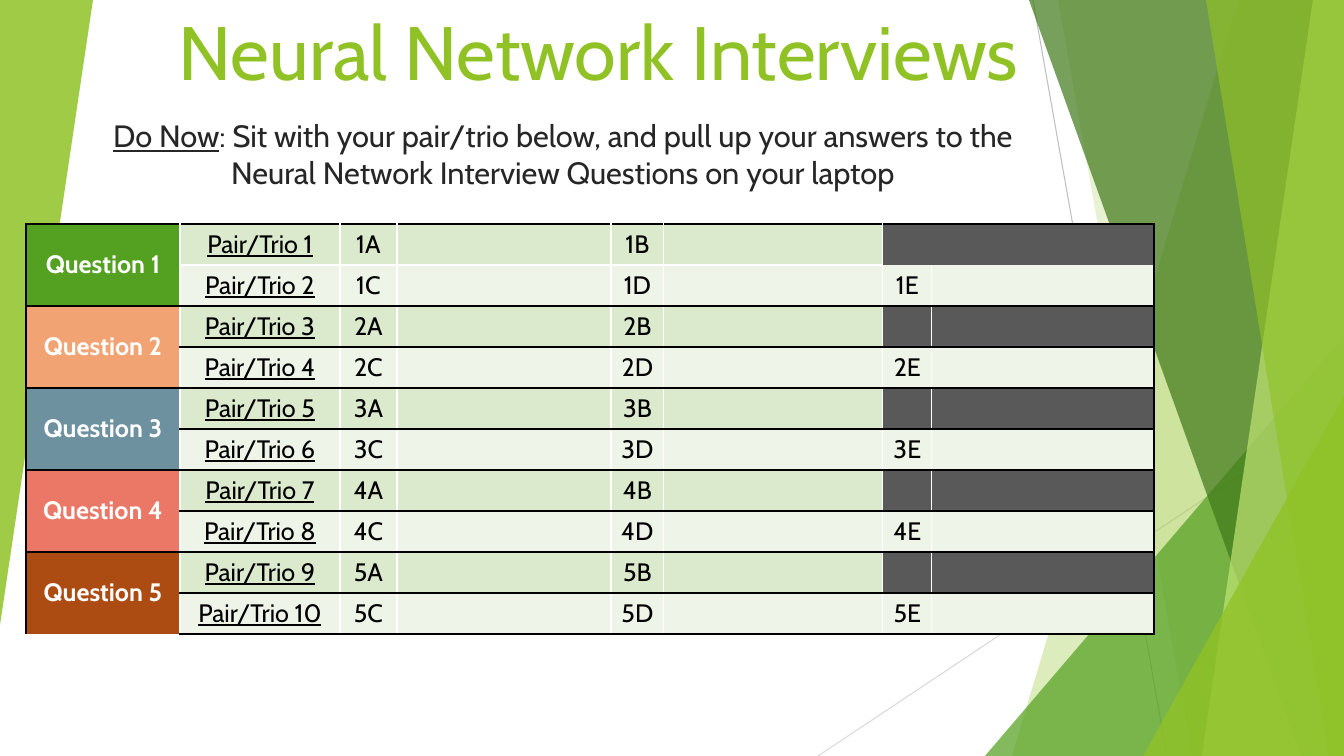
from dataclasses import dataclass

from lxml import etree
from pptx import Presentation
from pptx.dml.color import RGBColor
from pptx.enum.shapes import MSO_CONNECTOR, MSO_SHAPE
from pptx.enum.text import MSO_ANCHOR, PP_ALIGN
from pptx.oxml.ns import qn
from pptx.util import Pt

STRAIGHT, TRIANGLE = MSO_CONNECTOR.STRAIGHT, MSO_SHAPE.RIGHT_TRIANGLE
ISOSCELES = MSO_SHAPE.ISOSCELES_TRIANGLE
CENTER, RIGHT = PP_ALIGN.CENTER, PP_ALIGN.RIGHT
TOP, MIDDLE, BOTTOM = MSO_ANCHOR.TOP, MSO_ANCHOR.MIDDLE, MSO_ANCHOR.BOTTOM

WIDTH, HEIGHT = 1344, 756
SCALE = 12192000 / WIDTH
FONT = "Cabin"
NO_STYLE = "{2D5ABB26-0587-4C30-8999-92F81FD0307C}"

WHITE = RGBColor(0xFF, 0xFF, 0xFF)
BLACK = RGBColor(0x00, 0x00, 0x00)
INK = RGBColor(0x26, 0x26, 0x26)
LIME = RGBColor(0x90, 0xC2, 0x26)
PALE_LIME = RGBColor(0xC0, 0xE4, 0x74)
GREEN = RGBColor(0x54, 0xA0, 0x21)
FOREST = RGBColor(0x3F, 0x78, 0x19)
SILVER = RGBColor(0xBF, 0xBF, 0xBF)
LIGHT_GREY = RGBColor(0xD9, 0xD9, 0xD9)
DARK_GREY = RGBColor(0x59, 0x59, 0x59)
ROW_FILLS = (RGBColor(0xDB, 0xE9, 0xCD), RGBColor(0xEE, 0xF4, 0xE8))
QUESTION_FILLS = (GREEN, RGBColor(0xF1, 0xA3, 0x74), RGBColor(0x6E, 0x91, 0xA0),
                  RGBColor(0xEB, 0x77, 0x66), RGBColor(0xAD, 0x4C, 0x12))

COLUMNS = (154, 160, 57, 214, 53, 219, 49, 222)
ROW_HEIGHT, ROWS = 41, 10
LETTERS = ({2: "A", 4: "B"}, {2: "C", 4: "D", 6: "E"})
OUTER, INNER, DIVIDER = (BLACK, 1.5), (WHITE, 1), (BLACK, 2.25)


@dataclass(frozen=True)
class Ray:
    """A thin straight line."""
    x1: int
    y1: int
    x2: int
    y2: int
    color: RGBColor


@dataclass(frozen=True)
class Band:
    """A full-height panel from a slanted left edge to the right of the slide."""
    top_x: int
    bottom_x: int
    color: RGBColor
    opacity: int


@dataclass(frozen=True)
class Wedge:
    """A triangle with its apex over the right corner."""
    x: int
    y: int
    w: int
    h: int
    color: RGBColor
    opacity: int
    rotation: int = 0


BACKDROP = (
    Ray(1033, 0, 1167, 756, SILVER),
    Ray(1344, 406, 818, 756, LIGHT_GREY),
    Band(1238, 1012, LIME, 30),
    Band(1058, 1192, LIME, 20),
    Wedge(985, 336, 359, 420, GREEN, 72),
    Band(1029, 1301, FOREST, 70),
    Band(1313, 1202, PALE_LIME, 70),
    Band(1206, 1329, LIME, 65),
    Wedge(1143, 396, 201, 360, LIME, 80),
    Wedge(0, 0, 93, 625, LIME, 85, 180),
)


def px(*values):
    """Turn pixels into EMU."""
    return [round(v * SCALE) for v in values]


def paint(sp, color, opacity):
    """Give a shape a translucent fill, without line or shadow."""
    sp.shadow.inherit = False
    sp.line.fill.background()
    sp.fill.solid()
    sp.fill.fore_color.rgb = color
    clr = next(sp.element.spPr.iter(qn("a:srgbClr")))
    etree.SubElement(clr, qn("a:alpha"), val=str(opacity * 1000))


def draw_backdrop(shapes, item):
    """Draw one ray, band or wedge."""
    if isinstance(item, Ray):
        line = shapes.add_connector(STRAIGHT, *px(item.x1, item.y1, item.x2, item.y2))
        line.line.color.rgb, line.line.width = item.color, Pt(0.75)
        etree.SubElement(line.element.spPr, qn("a:effectLst"))
        return
    if isinstance(item, Band):
        outline = shapes.build_freeform(item.top_x, 0, scale=SCALE)
        outline.add_line_segments([(WIDTH, 0), (WIDTH, HEIGHT), (item.bottom_x, HEIGHT)])
        sp = outline.convert_to_shape()
    else:
        sp = shapes.add_shape(ISOSCELES, *px(item.x, item.y, item.w, item.h))
        sp.adjustments[0] = 1.0
        sp.rotation = item.rotation
    paint(sp, item.color, item.opacity)


def add_run(p, text, color, **formats):
    """Append a run in the slide font."""
    r = p.add_run()
    r.text = text
    r.font.color.rgb = color
    for name, value in {"name": FONT, **formats}.items():
        setattr(r.font, name, value)


def add_text(shapes, box, anchor, align):
    """Add a wrapping text box and return its paragraph."""
    tf = shapes.add_textbox(*px(*box)).text_frame
    tf.word_wrap, tf.vertical_anchor = True, anchor
    p = tf.paragraphs[0]
    p.alignment = align
    return p


def row_edge(row):
    """Return the border above a row (or below the last one)."""
    if row in (0, ROWS):
        return OUTER
    return INNER if row == 1 else DIVIDER


def cell_edges(row, col):
    """Return the left, right, top and bottom borders of a cell."""
    last = len(COLUMNS) - 1
    edges = {"L": INNER if col else OUTER, "R": OUTER if col == last else INNER,
             "T": row_edge(row), "B": row_edge(row + 1)}
    hidden = ""
    if col == 0:
        hidden = "T" if row % 2 else "B"
    elif col >= 6 and row < 2:
        hidden = "T" if row else ("LB" if col == last else "LRB")
    elif col == 5 and row == 0:
        hidden = "R"
    return {side: edge for side, edge in edges.items() if side not in hidden}


def style_cell(cell, fill, edges):
    """Apply borders, then the fill."""
    tc_pr = cell._tc.get_or_add_tcPr()
    for side, (color, width) in edges.items():
        ln = etree.SubElement(tc_pr, qn(f"a:ln{side}"), w=str(Pt(width)))
        solid = etree.SubElement(ln, qn("a:solidFill"))
        etree.SubElement(solid, qn("a:srgbClr"), val=str(color))
    cell.fill.solid()
    cell.fill.fore_color.rgb = fill


def fill_cell(table, row, col):
    """Write and style one cell of the question table."""
    cell = table.cell(row, col)
    question, second = divmod(row, 2)
    fill = ROW_FILLS[second]
    text, formats = "", {"size": Pt(18)}
    color = BLACK
    if col == 0:
        fill, color = QUESTION_FILLS[question], WHITE
        text = "" if second else f"Question {question + 1}"
        formats["bold"] = True
        cell.vertical_anchor = MIDDLE
    elif col == 1:
        text = f"Pair/Trio {row + 1}"
        formats["underline"] = True
    elif col in LETTERS[second]:
        text = f"{question + 1}{LETTERS[second][col]}"
    elif col >= 6 and not second:
        fill = DARK_GREY
    style_cell(cell, fill, cell_edges(row, col))
    if text:
        p = cell.text_frame.paragraphs[0]
        p.alignment = CENTER
        add_run(p, text, color, **formats)


def add_questions(shapes):
    """Add the table of questions and pairs."""
    box = px(26, 224, sum(COLUMNS), ROW_HEIGHT * ROWS)
    frame = shapes.add_table(ROWS, len(COLUMNS), *box)
    next(frame.element.iter(qn("a:tableStyleId"))).text = NO_STYLE
    table = frame.table
    table.first_row = table.horz_banding = False
    for column, width in zip(table.columns, px(*COLUMNS)):
        column.width = width
    for row in range(ROWS):
        table.rows[row].height = px(ROW_HEIGHT)[0]
        for col in range(len(COLUMNS)):
            fill_cell(table, row, col)
    for row in range(0, ROWS, 2):
        table.cell(row, 0).merge(table.cell(row + 1, 0))


prs = Presentation()
prs.slide_width, prs.slide_height = px(WIDTH, HEIGHT)
shapes = prs.slides.add_slide(prs.slide_layouts[6]).shapes
for item in BACKDROP:
    draw_backdrop(shapes, item)

title = add_text(shapes, (88, 0, 940, 101), BOTTOM, RIGHT)
add_run(title, "Neural Network Interviews", LIME, size=Pt(54))
task = add_text(shapes, (73, 112, 980, 101), TOP, CENTER)
task.space_before = Pt(10)
add_run(task, "Do Now", INK, size=Pt(22), underline=True)
add_run(task, ": Sit with your pair/trio below, and pull up your answers to the "
        "Neural Network Interview Questions on your laptop", INK, size=Pt(22))
add_questions(shapes)
prs.save("out.pptx")
